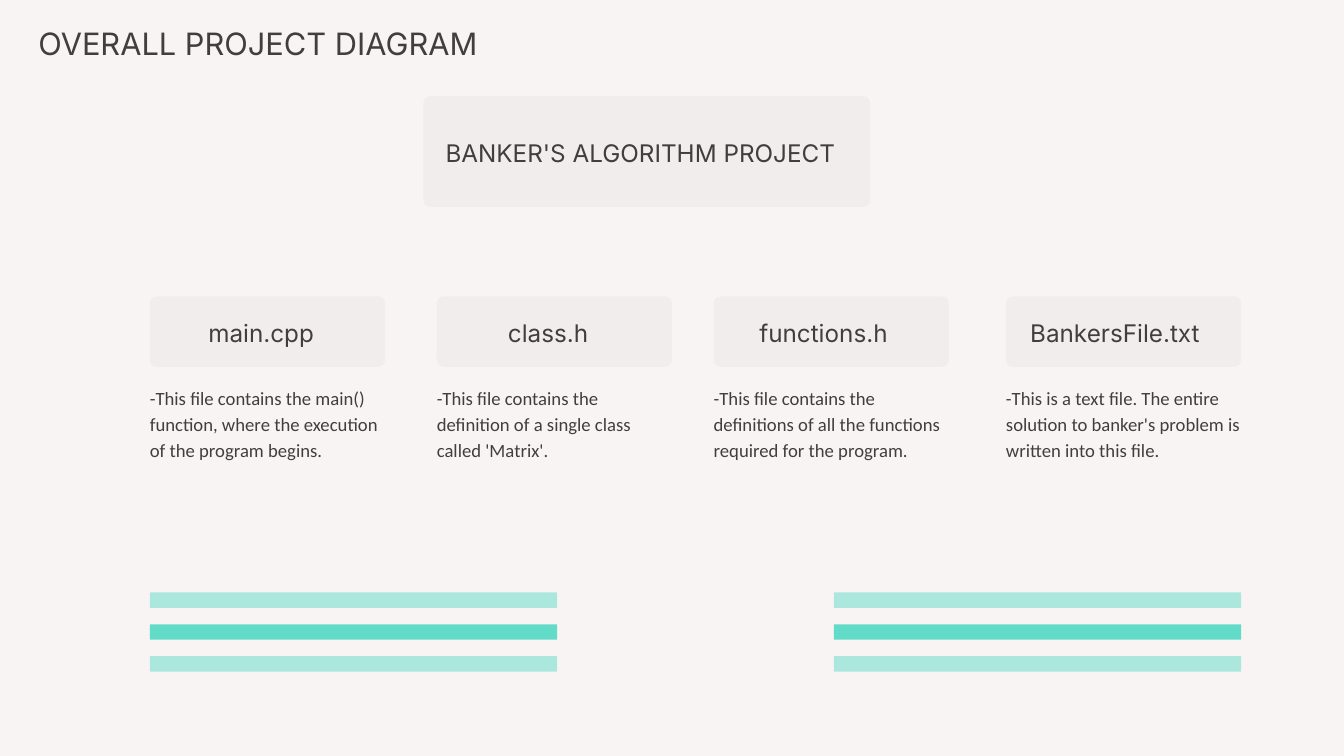
from lxml.etree import SubElement
from pptx import Presentation
from pptx.dml.color import RGBColor
from pptx.enum.shapes import MSO_SHAPE as Kind
from pptx.enum.text import MSO_AUTO_SIZE as Fit
from pptx.oxml.ns import qn
from pptx.util import Inches, Pt

PAPER = RGBColor(0xF8, 0xF4, 0xF4)
PANEL = RGBColor(0xF2, 0xED, 0xED)
MINT = RGBColor(0x62, 0xDB, 0xC8)
INK = RGBColor(0x40, 0x3F, 0x3D)
CELL = Inches(0.5)
COLS, ROWS = 40, 22.5
RADIUS = 0.21
SIDE, TOP = 4.46, 8.82
WIDE, HIGH = 7, 2.1

FILES = [
    (SIDE, 6.2, 3.5, "main.cpp",
     "-This file contains the main() function, where the execution of the program begins."),
    (13, 15.12, 2.74, "class.h",
     "-This file contains the definition of a single class called 'Matrix'."),
    (21.24, 22.6, 4.14, "functions.h",
     "-This file contains the definitions of all the functions required for the program."),
    (29.94, 30.66, 5.56, "BankersFile.txt",
     "-This is a text file. The entire solution to banker's problem is written into this file."),
]


class Board:
    def __init__(self, slide):
        self.slide = slide
        back = slide.background.fill
        back.solid()
        back.fore_color.rgb = PAPER

    def area(self, *cells):
        return [round(cell * CELL) for cell in cells]

    def shape(self, kind, box, color):
        shape = self.slide.shapes.add_shape(kind, *self.area(*box))
        shape.shadow.inherit = False
        shape.fill.solid()
        shape.fill.fore_color.rgb = color
        shape.line.fill.background()
        return shape

    def panel(self, *box):
        shape = self.shape(Kind.ROUNDED_RECTANGLE, box, PANEL)
        shape.adjustments[0] = RADIUS / box[3]

    def bar(self, *box, clear=False):
        shape = self.shape(Kind.RECTANGLE, box, MINT)
        if clear:
            tint = shape.element.spPr.find(".//" + qn("a:srgbClr"))
            SubElement(tint, qn("a:alpha")).set("val", "50000")

    def text(self, words, *box, size=26, lead=36.4, font="Inter"):
        frame = self.slide.shapes.add_textbox(*self.area(*box)).text_frame
        frame.word_wrap = True
        frame.auto_size = Fit.SHAPE_TO_FIT_TEXT
        frame.margin_left = frame.margin_right = 0
        frame.margin_top = frame.margin_bottom = 0
        frame.text = words
        line = frame.paragraphs[0]
        line.line_spacing = Pt(lead)
        style = line.runs[0].font
        style.name = font
        style.size = Pt(size)
        style.color.rgb = INK


def main():
    deck = Presentation()
    deck.slide_width = round(COLS * CELL)
    deck.slide_height = round(ROWS * CELL)
    board = Board(deck.slides.add_slide(deck.slide_layouts[6]))

    for left in (SIDE, 24.82):
        for row in range(3):
            board.bar(left, 17.63 + row * 0.95, 12.12, 0.46, clear=row != 1)

    board.text("OVERALL PROJECT DIAGRAM", 1.14, 0.56, 13.66, 1.26, size=33, lead=46.2)
    board.panel(12.6, 2.86, 13.3, 3.3)
    board.text("BANKER'S ALGORITHM PROJECT", 13.26, 3.98, 12.62, 0.94)

    for left, start, width, name, about in FILES:
        board.panel(left, TOP, WIDE, HIGH)
        board.text(name, start, 9.34, width, 0.94)
        board.text(about, left, 11.4, WIDE, 2.3, size=20, lead=28, font="Calibri")

    deck.save("out.pptx")


if __name__ == "__main__":
    main()
